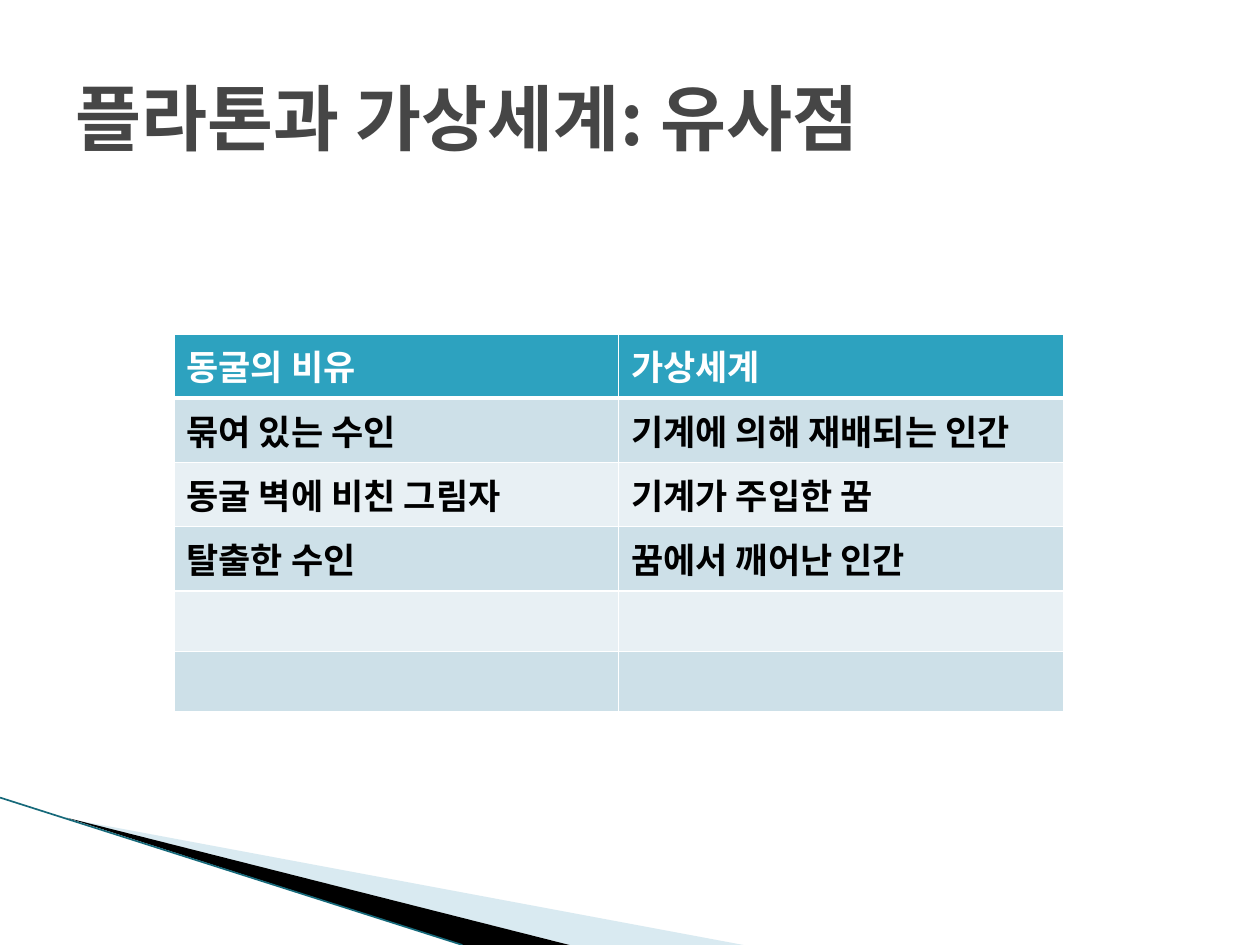
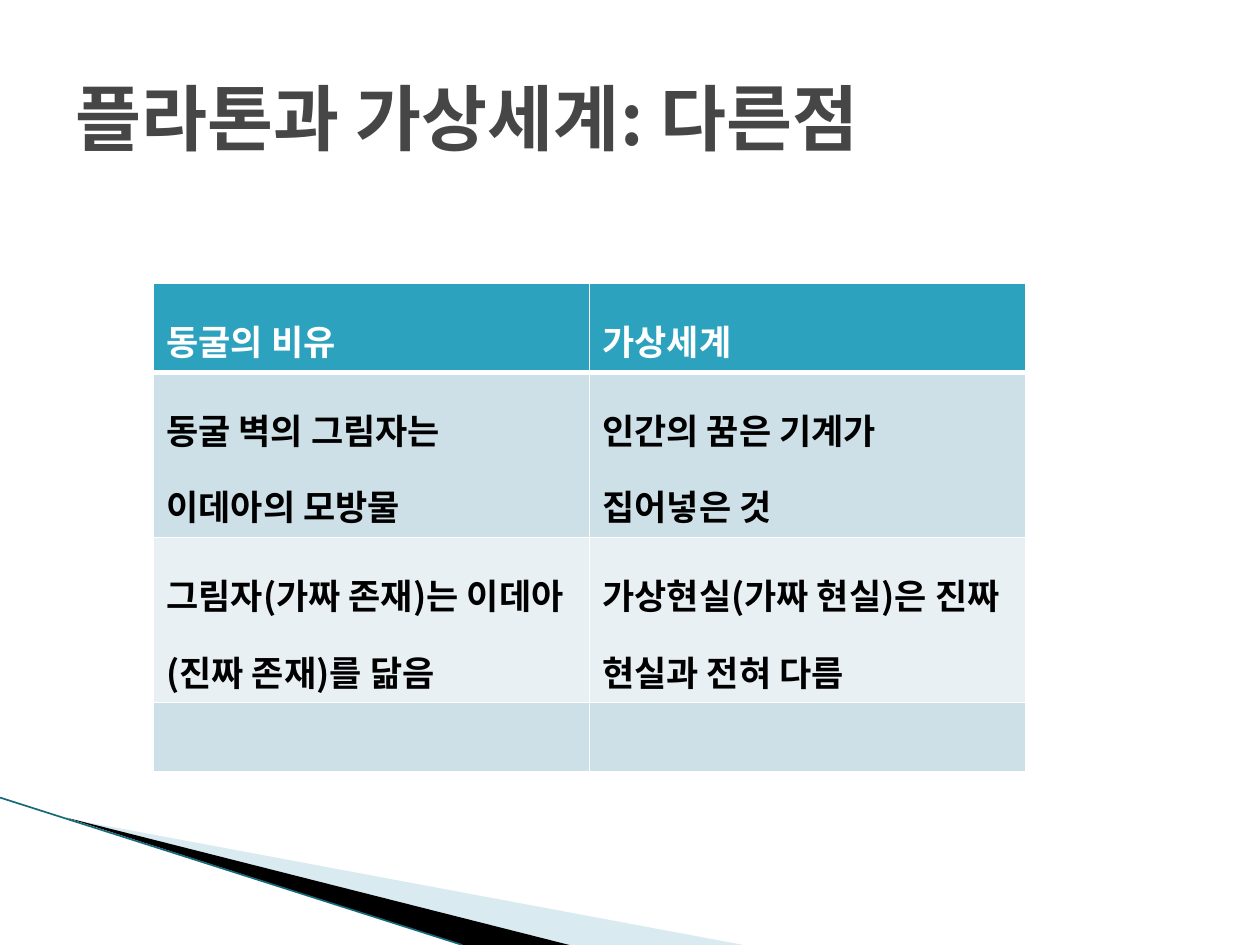
import pptx
import pptx.util
import pptx.dml.color
import pptx.enum.shapes
import pptx.enum.text
import pptx.oxml
import pptx.oxml.ns
from lxml import etree

FONT = "Noto Sans CJK KR"
TITLE, HEAD, BAND_A, BAND_B = "464646", "2DA2BF", "CDE0E8", "E8F0F4"
WHITE, BLACK, PALE, EDGE = "FFFFFF", "000000", "A0CBDC", "16697A"
W, H = 10, 7.5
TITLE_ONLY = 5
FILM = "가상세계"
inch = pptx.util.Inches
qn = pptx.oxml.ns.qn


def rgb(color):
    return pptx.dml.color.RGBColor.from_string(color)


def write(tf, text, size=20, color=BLACK, bold=True, spacing=None):
    p = tf.paragraphs[0]
    p.alignment = pptx.enum.text.PP_ALIGN.LEFT
    if spacing:
        p.line_spacing = spacing
    r = p.add_run()
    r.text = text
    r.font.size, r.font.bold, r.font.name = pptx.util.Pt(size), bold, FONT
    r.font.color.rgb = rgb(color)
    etree.SubElement(r.font._element, qn("a:ea")).set("typeface", FONT)


# Decoration shared by both slides
def wedge(s, points, color, alpha=None):
    start, *rest = [(inch(x), inch(y)) for x, y in points]
    builder = s.shapes.build_freeform(*start)
    builder.add_line_segments(rest, close=True)
    sp = builder.convert_to_shape()
    sp.shadow.inherit = False
    sp.fill.solid()
    sp.fill.fore_color.rgb = rgb(color)
    sp.line.fill.background()
    if alpha:
        clr = sp.fill._xPr.find(".//" + qn("a:srgbClr"))
        etree.SubElement(clr, qn("a:alpha")).set("val", str(alpha * 1000))
    return sp


def edge_line(s, start, end, color, width):
    line = s.shapes.add_connector(
        pptx.enum.shapes.MSO_CONNECTOR.STRAIGHT, *map(inch, start + end))
    line.line.color.rgb = rgb(color)
    line.line.width = pptx.util.Pt(width)
    etree.SubElement(line.element.spPr, qn("a:effectLst"))
    return line


def decorate_layout(s):
    """Draw the corner wedges and move them to the slide's layout."""
    parts = [
        wedge(s, [(0.55, 6.5), (5.9, H), (4.52, H)], PALE, alpha=40),
        wedge(s, [(0.53, 6.49), (4.52, H), (3.67, H)], BLACK),
        edge_line(s, (0, 6.33), (3.67, H), EDGE, 0.95),
    ]
    tree = s.slide_layout.shapes.element
    for i, part in enumerate(parts):
        tree.insert(2 + i, part.element)


def add_title(s, text):
    title = s.shapes.title
    title.left, title.top = inch(0.05 * W), inch(0.04 * H)
    title.width, title.height = inch(0.9 * W), inch(1.25)
    tf = title.text_frame
    tf.auto_size = pptx.enum.text.MSO_AUTO_SIZE.NONE
    tf.vertical_anchor = pptx.enum.text.MSO_ANCHOR.MIDDLE
    write(tf, text, size=41, color=TITLE)


# Comparison table
def set_borders(cell, **widths):
    tc_pr = cell._tc.get_or_add_tcPr()
    for i, side in enumerate("LRTB"):
        width = pptx.util.Pt(widths.get(side, 1))
        tc_pr.insert(i, pptx.oxml.parse_xml(
            f'<a:ln{side} {pptx.oxml.ns.nsdecls("a")} w="{width}"><a:solidFill>'
            f'<a:srgbClr val="{WHITE}"/></a:solidFill></a:ln{side}>'))


def add_comparison(s, left, top, col_width, heights, rows, spacing=None):
    """Draw a two-column table; heights beyond the given rows stay empty."""
    frame = s.shapes.add_table(len(heights), 2, inch(left), inch(top),
                               inch(2 * col_width), inch(sum(heights)))
    table = frame.table
    for col in table.columns:
        col.width = inch(col_width)
    for i, height in enumerate(heights):
        table.rows[i].height = inch(height)
        fill = HEAD if i == 0 else (BAND_B, BAND_A)[i % 2]
        for j in range(2):
            cell = table.cell(i, j)
            cell.fill.solid()
            cell.fill.fore_color.rgb = rgb(fill)
            set_borders(cell, T=3 if i == 1 else 1, B=3 if i == 0 else 1)
            if i < len(rows):
                write(cell.text_frame, rows[i][j], spacing=spacing,
                      color=WHITE if i == 0 else BLACK)


def main():
    prs = pptx.Presentation()
    prs.slide_width, prs.slide_height = inch(W), inch(H)
    layout = prs.slide_layouts[TITLE_ONLY]
    header = ("동굴의 비유", FILM)

    # Similarities
    s = prs.slides.add_slide(layout)
    decorate_layout(s)
    add_title(s, f"플라톤과 {FILM}: 유사점")
    add_comparison(s, 1.38, 2.65, 3.53, [0.51] * 4 + [0.48] * 2, [
        header,
        ("묶여 있는 수인", "기계에 의해 재배되는 인간"),
        ("동굴 벽에 비친 그림자", "기계가 주입한 꿈"),
        ("탈출한 수인", "꿈에서 깨어난 인간"),
    ])

    # Differences
    s = prs.slides.add_slide(layout)
    add_title(s, f"플라톤과 {FILM}: 다른점")
    add_comparison(s, 1.22, 2.25, 3.46, [0.6, 1.16, 1.16, 0.55], [
        header,
        ("동굴 벽의 그림자는 이데아의 모방물", "인간의 꿈은 기계가 집어넣은 것"),
        ("그림자(가짜 존재)는 이데아(진짜 존재)를 닮음",
         "가상현실(가짜 현실)은 진짜 현실과 전혀 다름"),
    ], spacing=1.5)

    prs.save("out.pptx")


if __name__ == "__main__":
    main()
